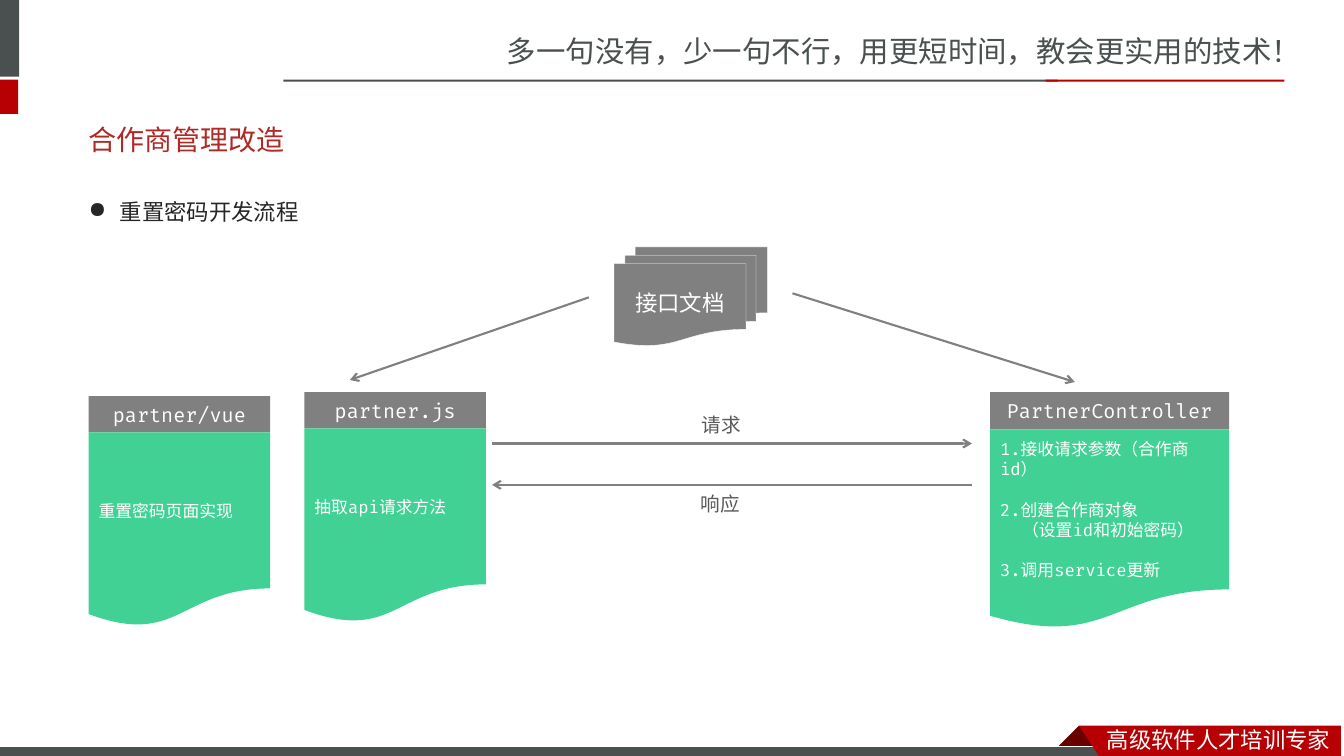
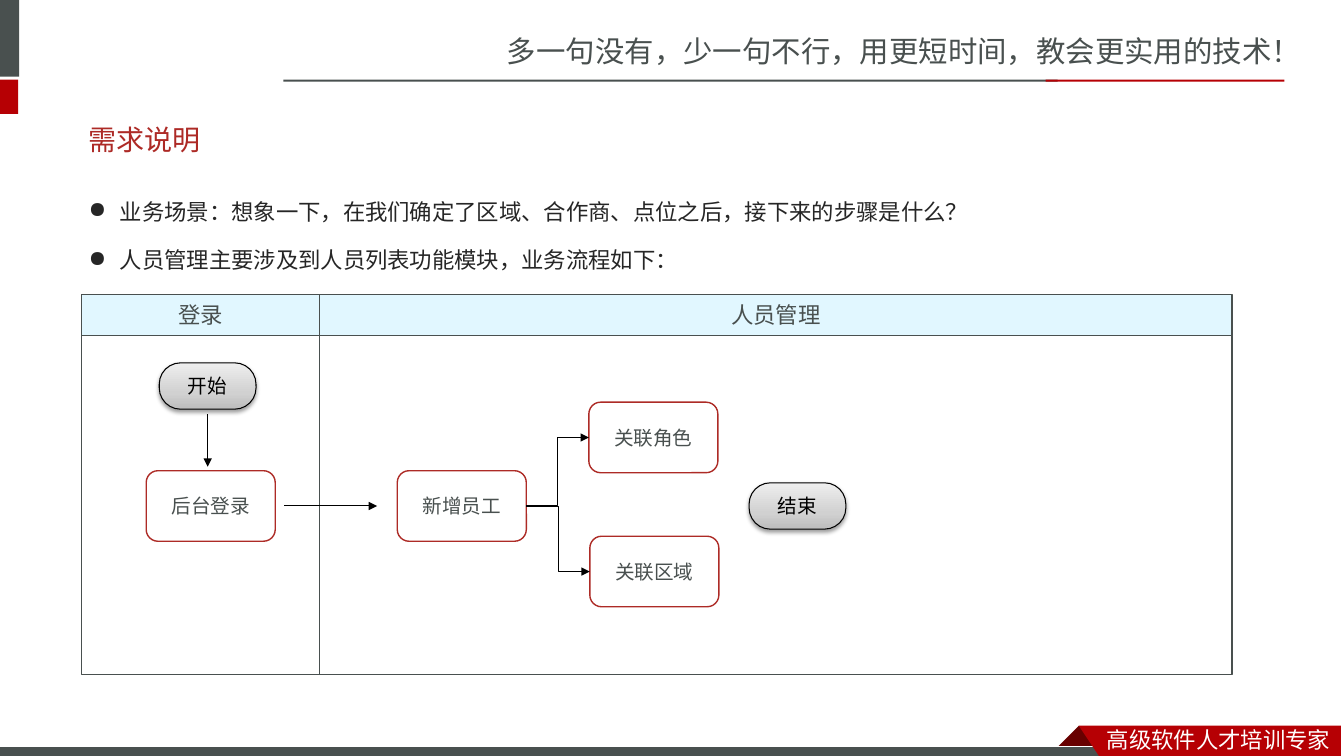
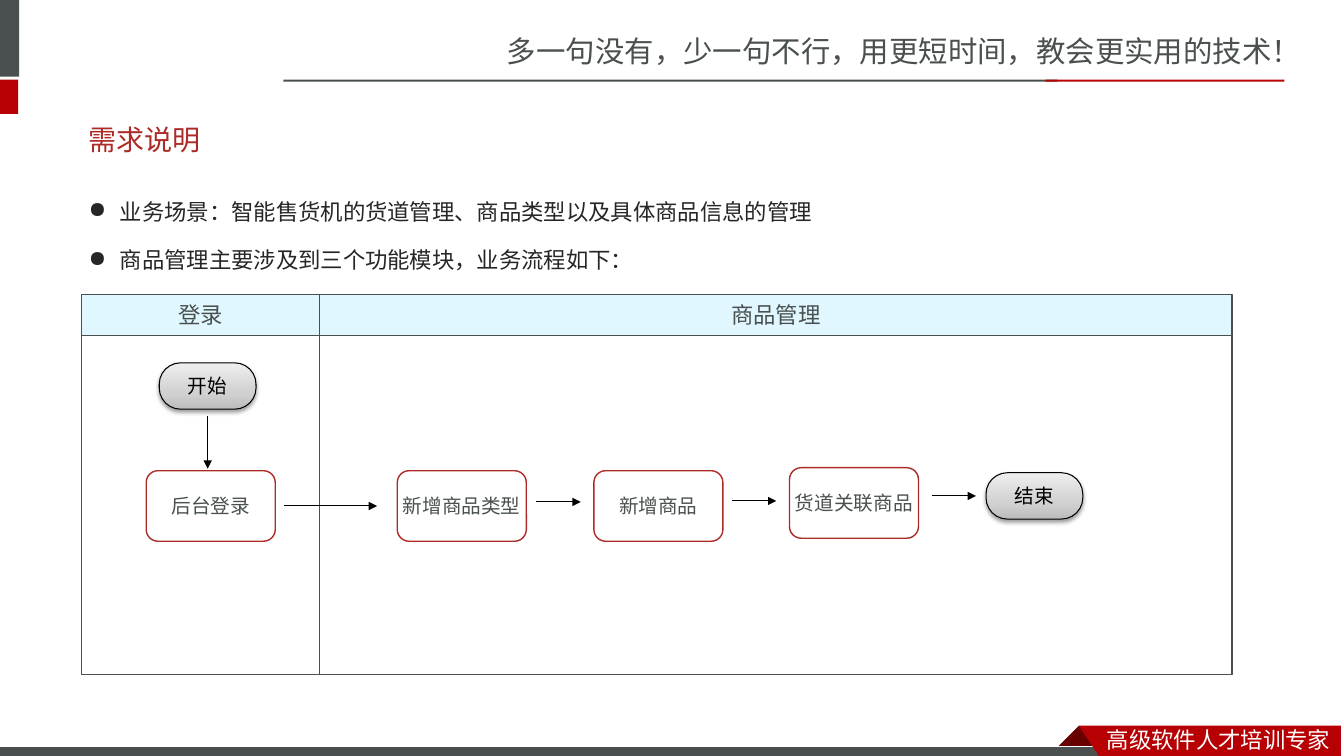
from dataclasses import dataclass

from lxml import etree
from pptx import Presentation
from pptx import util as u
from pptx.dml.color import RGBColor
from pptx.enum import shapes, text
from pptx.oxml.ns import qn


@dataclass(frozen=True)
class Theme:
    slate: str = "49504F"
    red: str = "B60004"
    fold: str = "680000"
    title: str = "AD2A26"
    node: str = "AD2B26"
    ink: str = "262626"
    label: str = "595959"
    grey: str = "808080"
    green: str = "42D194"
    lane: str = "E1F7FF"
    white: str = "FFFFFF"
    black: str = "000000"
    metal: tuple = ((0, "BDBDBD"), (35000, "D1D1D1"), (100000, "EEEEEE"))
    cjk: str = "Noto Sans CJK JP"
    brand: str = "Noto Sans CJK SC"
    code: str = "Fira Code"
    slogan_pt: float = 21
    title_pt: float = 20
    body_pt: float = 16
    node_pt: float = 14
    step_pt: float = 12


T = Theme()
G = shapes.MSO_SHAPE
CENTER = text.PP_ALIGN.CENTER
LEFT = text.PP_ALIGN.LEFT
MIDDLE = text.MSO_ANCHOR.MIDDLE

prs = Presentation()
prs.slide_width = u.Inches(13.33)
prs.slide_height = u.Inches(7.5)
cell = prs.slide_height / 75
blank = prs.slide_layouts[6]


def box(slide, kind, at, lines=(), fill=None, line=None, pt=T.node_pt,
        color=T.white, font=T.cjk, align=CENTER, anchor=MIDDLE):
    x, y, w, h = [round(v * cell) for v in at]
    if kind is None:
        sp = slide.shapes.add_textbox(x, y, w, h)
    else:
        sp = slide.shapes.add_shape(kind, x, y, w, h)
        sp.shadow.inherit = False
        sp.fill.background()
        sp.line.fill.background()
    if fill:
        sp.fill.solid()
        sp.fill.fore_color.rgb = RGBColor.from_string(fill)
    if line:
        sp.line.color.rgb = RGBColor.from_string(line[0])
        sp.line.width = u.Pt(line[1])
    tf = sp.text_frame
    tf.word_wrap = True
    tf.vertical_anchor = anchor
    for i, words in enumerate(lines):
        p = tf.add_paragraph() if i else tf.paragraphs[0]
        p.alignment = align
        r = p.add_run()
        r.text = words
        r.font.size = u.Pt(pt)
        r.font.color.rgb = RGBColor.from_string(color)
        r.font.name = font
        ea = etree.SubElement(r.font._element, qn("a:ea"))
        ea.set("typeface", T.cjk if font == T.code else font)
    return sp


def arrow(slide, start, end, color, pt, head, kind=shapes.MSO_CONNECTOR.STRAIGHT):
    ends = [round(v * cell) for v in (*start, *end)]
    cx = slide.shapes.add_connector(kind, *ends)
    cx.line.color.rgb = RGBColor.from_string(color)
    cx.line.width = u.Pt(pt)
    etree.SubElement(cx.line._get_or_add_ln(), qn("a:tailEnd")).set("type", head)
    etree.SubElement(cx._element.spPr, qn("a:effectLst"))
    return cx


pages = [
    ("合作商管理改造", 13.1, ["重置密码开发流程"]),
    ("需求说明", 28.9, ["业务场景：想象一下，在我们确定了区域、合作商、点位之后，接下来的步骤是什么？",
                    "人员管理主要涉及到人员列表功能模块，业务流程如下："]),
    ("需求说明", 28.9, ["业务场景：智能售货机的货道管理、商品类型以及具体商品信息的管理",
                    "商品管理主要涉及到三个功能模块，业务流程如下："]),
]
slides = [prs.slides.add_slide(blank) for page in pages]

for ph in list(blank.placeholders):
    ph.element.getparent().remove(ph.element)
s = slides[0]
box(s, None, (49.3, 2.8, 84.1, 4.7), ["多一句没有，少一句不行，用更短时间，教会更实用的技术！"],
    pt=T.slogan_pt, color=T.slate, font=T.brand, align=LEFT, anchor=text.MSO_ANCHOR.TOP)
for at, fill, line in [
    ((-0.6, 0, 2.5, 7.6), T.slate, None),
    ((-0.6, 7.9, 2.4, 3.4), T.red, None),
    ((28.1, 7.9, 76.8, 0.2), T.slate, None),
    ((103.7, 7.9, 23.7, 0.2), T.red, None),
    ((-0.1, 74.1, 110, 1.2), T.slate, (T.white, 0.75)),
]:
    box(s, G.RECTANGLE, at, fill=fill, line=line)
for fill, points in [
    (T.fold, [(109.5, 74.2), (109.4, 74.3), (105.2, 74.3), (105.1, 74.2)]),
    (T.red, [(133.3, 72), (133.3, 75.4), (108.6, 75.3)]),
]:
    outline = s.shapes.build_freeform(107.3, 72, cell)
    outline.add_line_segments(points)
    sp = outline.convert_to_shape()
    sp.shadow.inherit = False
    sp.fill.solid()
    sp.fill.fore_color.rgb = RGBColor.from_string(fill)
    sp.line.fill.background()
box(s, None, (108.8, 71.5, 24.5, 3.7), ["高级软件人才培训专家"], pt=T.body_pt,
    font=T.brand, align=LEFT, anchor=text.MSO_ANCHOR.TOP)
for sp in list(s.shapes):
    blank.shapes.element.append(sp.element)

for s, (title, height, bullets) in zip(slides, pages):
    box(s, None, (7.8, 11, 117, 5.7), [title], pt=T.title_pt, color=T.title, align=LEFT)
    sp = box(s, None, (7.8, 17.8, 124.1, height), bullets, pt=T.body_pt, color=T.ink,
             align=text.PP_ALIGN.JUSTIFY, anchor=text.MSO_ANCHOR.TOP)
    for i, p in enumerate(sp.text_frame.paragraphs):
        pPr = p._p.get_or_add_pPr()
        pPr.set("marL", str(u.Inches(0.31)))
        pPr.set("indent", str(-u.Inches(0.31)))
        etree.SubElement(pPr, qn("a:buChar")).set("char", "●")
        p.line_spacing = 1.5
        if i:
            p.space_before = u.Pt(6)

s = slides[0]
for words, y, label_at, start, end in [
    ("请求", 44, (68.6, 40.4), 48.8, 96.4),
    ("响应", 48.1, (68.5, 48.3), 96.4, 48.8),
]:
    arrow(s, (start, y), (end, y), T.grey, 1.5, "arrow")
    box(s, None, (*label_at, 6.1, 3.4), [words], color=T.label, align=LEFT)
for x, y, w, head, body, name, steps in [
    (98.2, 38.9, 23.7, 3.7, 19.8, "PartnerController",
     ["1.接收请求参数（合作商id）", "2.创建合作商对象", "（设置id和初始密码）", "3.调用service更新"]),
    (30.2, 38.9, 18, 3.6, 19.3, "partner.js", ["抽取api请求方法"]),
    (8.8, 39.3, 18, 3.6, 19.3, "partner/vue", ["重置密码页面实现"]),
]:
    box(s, G.RECTANGLE, (x, y, w, head), [name], T.grey, font=T.code)
    sp = box(s, G.FLOWCHART_DOCUMENT, (x, y + head, w, body), steps, T.green,
             pt=T.step_pt, font=T.code, align=LEFT)
    for p in sp.text_frame.paragraphs[1:]:
        if p.text[0].isdigit():
            p.space_before = u.Pt(14.5)
        else:
            p._p.get_or_add_pPr().set("marL", str(u.Inches(0.22)))
box(s, G.FLOWCHART_MULTIDOCUMENT, (60.9, 24.5, 15.2, 9.8), ["接口文档"], T.grey,
    (T.white, 0.25), T.body_pt)
arrow(s, (58.4, 29.5), (34.7, 37.7), T.grey, 1.5, "arrow")
arrow(s, (78.6, 29.1), (106.6, 37.9), T.grey, 1.5, "arrow")

flows = [
    ("人员管理", [("新增员工", 39.4, 46.7), ("关联角色", 58.4, 39.9), ("关联区域", 58.5, 53.2)],
     (74.3, 47.9), 41.1, [], [("新增员工", "关联角色"), ("新增员工", "关联区域")]),
    ("商品管理", [("新增商品类型", 39.4, 46.7), ("新增商品", 58.9, 46.7), ("货道关联商品", 78.3, 46.4)],
     (97.8, 46.9), 41.3, [(53.2, 49.8), (72.6, 49.7), (92.4, 49.2)], []),
]
for s, (module, tasks, finish, drop, hops, forks) in zip(slides[1:], flows):
    for name, x, w in [("登录", 8.1, 23.6), (module, 31.7, 90.5)]:
        box(s, G.RECTANGLE, (x, 29.2, w, 4.1), [name], T.lane, (T.slate, 1), T.body_pt, T.slate)
        box(s, G.RECTANGLE, (x, 33.3, w, 33.6), line=(T.slate, 1))
    nodes = {}
    for name, x, y in [("后台登录", 14.5, 46.7), *tasks]:
        sp = box(s, G.ROUNDED_RECTANGLE, (x, y, 12.8, 7), [name], T.white, (T.node, 1), color=T.slate)
        sp.text_frame.margin_left = sp.text_frame.margin_right = 0
        nodes[name] = sp
    for name, (x, y) in [("开始", (15.8, 36)), ("结束", finish)]:
        sp = box(s, G.ROUNDED_RECTANGLE, (x, y, 9.6, 4.6), [name], line=(T.black, 0.75), color=T.black)
        sp.adjustments[0] = 0.46
        sp.fill.gradient()
        sp.fill.gradient_angle = 90
        stops = sp._element.spPr.find(".//" + qn("a:gsLst"))
        for stop in list(stops):
            stops.remove(stop)
        for pos, tint in T.metal:
            stop = etree.SubElement(stops, qn("a:gs"), pos=str(pos))
            etree.SubElement(stop, qn("a:srgbClr"), val=tint)
        shade = etree.SubElement(sp._element.spPr.find(qn("a:effectLst")), qn("a:outerShdw"),
                                 blurRad=str(u.Pt(3.1)), dist=str(u.Pt(1.6)),
                                 dir="5400000", rotWithShape="0")
        tone = etree.SubElement(shade, qn("a:srgbClr"), val=T.black)
        etree.SubElement(tone, qn("a:alpha"), val="38000")
    arrow(s, (20.6, drop), (20.6, drop + 5.2), T.black, 0.75, "triangle")
    arrow(s, (28.2, 50.2), (37.4, 50.2), T.black, 0.75, "triangle")
    for x, y in hops:
        arrow(s, (x, y), (x + 4.4, y), T.black, 0.75, "triangle")
    for source, target in forks:
        cx = arrow(s, (52.2, 50.2), (58.4, 50.2), T.black, 0.75, "triangle",
                   shapes.MSO_CONNECTOR.ELBOW)
        cx.begin_connect(nodes[source], 3)
        cx.end_connect(nodes[target], 1)

prs.save("out.pptx")
